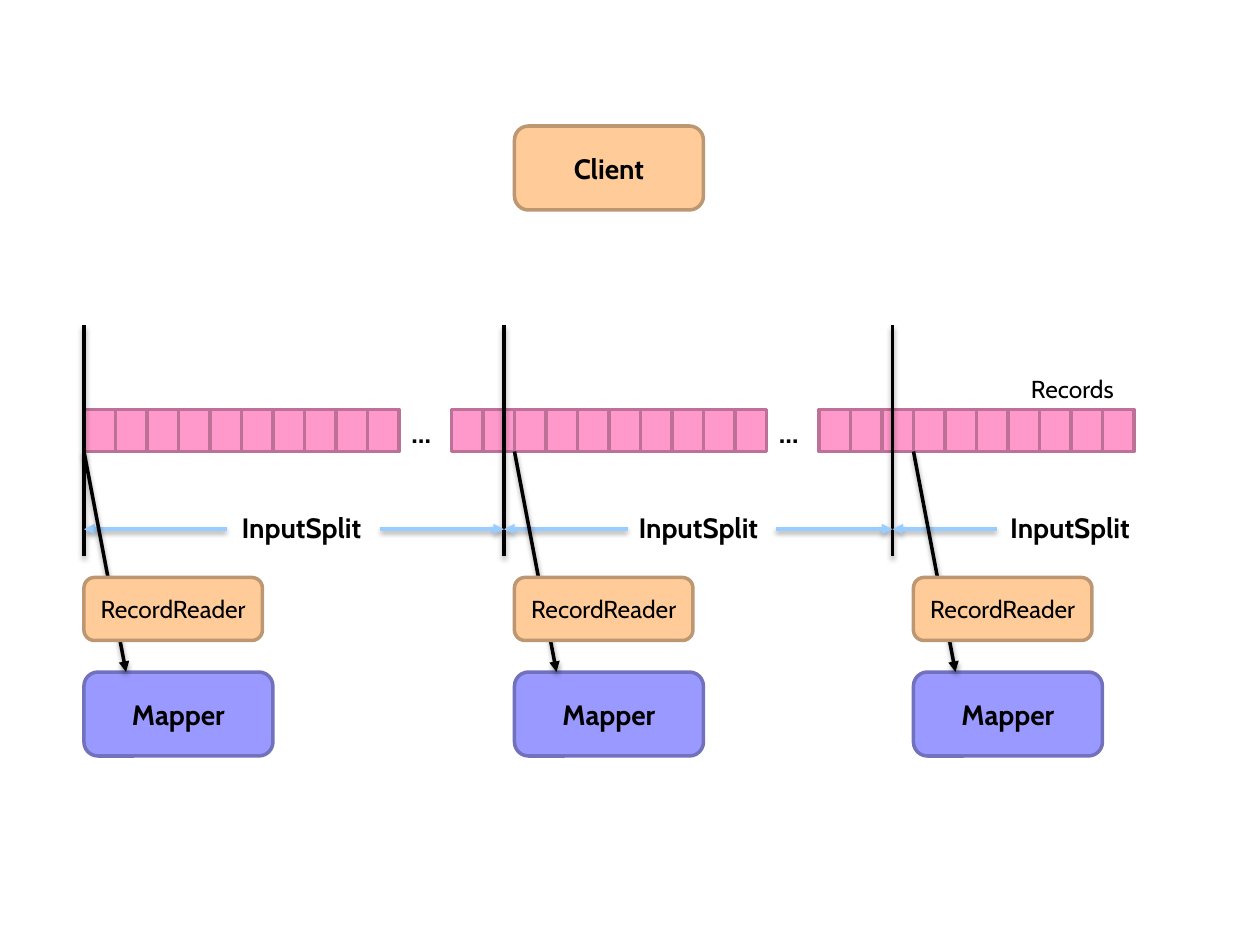
from lxml import etree
from pptx import Presentation
from pptx import util as u
from pptx.dml.color import RGBColor
from pptx.enum import shapes, text
from pptx.oxml import ns

INK = {
    "black": "000000", "pink": "FF99CC", "rose": "BD7197",
    "peach": "FFCC99", "tan": "BD9771", "blue": "9999FF",
    "navy": "7171BD", "sky": "99CCFF",
}
FONT = "Cabin"
CELL = 18
ROW = 234
TALL = 24
AXIS = 302.4


def tint(name):
    return RGBColor.from_string(INK[name])


def write(frame, words, size=16, bold=True, align=text.PP_ALIGN.LEFT,
          anchor=text.MSO_ANCHOR.TOP):
    frame.word_wrap = True
    frame.vertical_anchor = anchor
    para = frame.paragraphs[0]
    para.alignment = align
    run = para.add_run()
    run.text = words
    font = run.font
    font.name, font.size, font.bold = FONT, u.Pt(size), bold
    font.color.rgb = tint("black")


class Board:
    def __init__(self, slide, width=2):
        self.slide = slide
        self.width = u.Pt(width)

    def box(self, kind, x, y, w, h, fill, edge, words=None, **style):
        shape = self.slide.shapes.add_shape(kind, u.Pt(x), u.Pt(y), u.Pt(w), u.Pt(h))
        shape.shadow.inherit = False
        shape.fill.solid()
        shape.fill.fore_color.rgb = tint(fill)
        shape.line.color.rgb = tint(edge)
        shape.line.width = self.width
        if words:
            write(shape.text_frame, words, align=text.PP_ALIGN.CENTER,
                  anchor=text.MSO_ANCHOR.MIDDLE, **style)

    def cell(self, x):
        self.box(shapes.MSO_SHAPE.RECTANGLE, x, ROW, CELL, TALL, "pink", "rose")

    def node(self, x, y, w, h, fill, edge, words, **style):
        self.box(shapes.MSO_SHAPE.ROUNDED_RECTANGLE, x, y, w, h, fill, edge, words, **style)

    def label(self, x, y, w, h, words, **style):
        frame = self.slide.shapes.add_textbox(
            u.Pt(x), u.Pt(y), u.Pt(w), u.Pt(h)).text_frame
        frame.margin_right = 0
        write(frame, words, **style)

    def line(self, x1, y1, x2, y2, color="black", arrow=True):
        link = self.slide.shapes.add_connector(
            shapes.MSO_CONNECTOR.STRAIGHT, u.Pt(x1), u.Pt(y1), u.Pt(x2), u.Pt(y2))
        link.line.color.rgb = tint(color)
        link.line.width = self.width
        if arrow:
            etree.SubElement(link.line._get_or_add_ln(), ns.qn("a:tailEnd"), type="triangle")
        self.shade(link, 38 if arrow else 35, 1.6 if arrow else 1.8)

    def shade(self, link, alpha, gap):
        props = link._element.spPr
        effect = etree.SubElement(props, ns.qn("a:effectLst"))
        shadow = etree.SubElement(
            effect, ns.qn("a:outerShdw"), blurRad=str(u.Pt(3.1)), dist=str(u.Pt(gap)),
            dir="5400000", rotWithShape="0")
        color = etree.SubElement(shadow, ns.qn("a:srgbClr"), val=INK["black"])
        etree.SubElement(color, ns.qn("a:alpha"), val=str(alpha * 1000))

    def split(self, x, w, left, right):
        for start, end in (left, right):
            if start is not None:
                self.line(start, AXIS, end, AXIS, "sky")
        self.label(x, 288, w, 26.6, "InputSplit")

    def task(self, x):
        self.node(x, 384, 108, 48, "blue", "navy", "Mapper")
        self.line(x, ROW + TALL, x + 24, 384)
        self.node(x, 330, 102, 36, "peach", "tan", "RecordReader", size=14, bold=False)


def main():
    deck = Presentation()
    deck.slide_width, deck.slide_height = u.Pt(720), u.Pt(540)
    board = Board(deck.slides.add_slide(deck.slide_layouts[6]))

    for start in (48, 258, 468):
        for step in range(10):
            board.cell(start + step * CELL)
    for x in (228, 438):
        board.label(x, ROW, 31, 26.6, "…")

    cuts = (48, 288, 510)
    for x in cuts:
        board.line(x, 186, x, 318, arrow=False)
    first, second, third = cuts
    board.split(131, 94.3, (129.6, first), (217.4, second))
    board.split(357.8, 94.3, (358.6, second), (443.5, third))
    board.split(570.2, 96.5, (569.5, third), (None, None))

    board.node(294, 72, 108, 48, "peach", "tan", "Client")
    board.label(582, 210, 62, 24.2, "Records", size=14, bold=False)
    for x in (48, 294, 522):
        board.task(x)
    deck.save("out.pptx")


if __name__ == "__main__":
    main()
